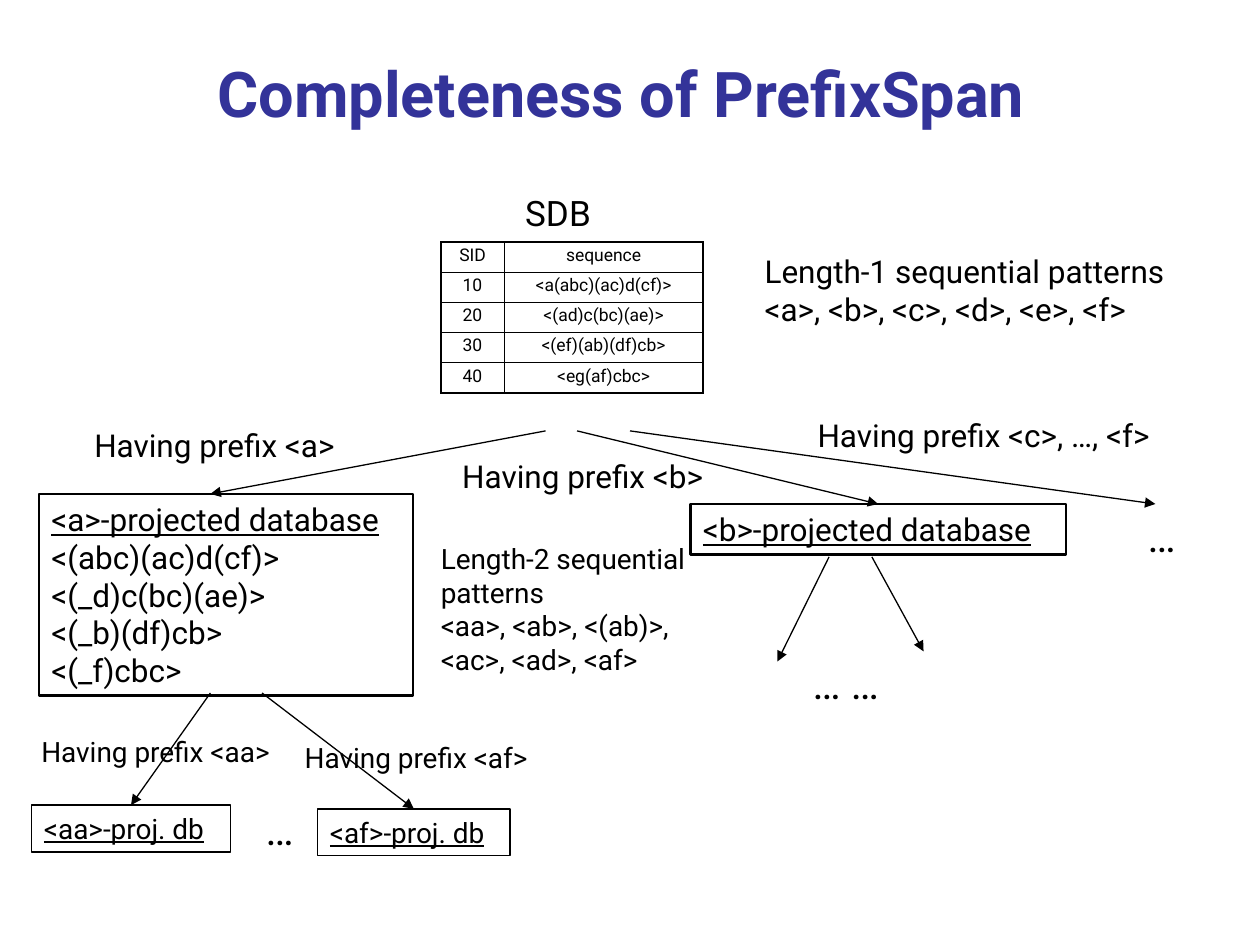
import pptx
import pptx.util
import pptx.dml.color
import pptx.enum.shapes
import pptx.enum.text
import pptx.oxml.ns
from lxml import etree

Inches = pptx.util.Inches
Pt = pptx.util.Pt
ALIGN = pptx.enum.text.PP_ALIGN
FONT = "Roboto"
COLORS = {"ink": "000000", "title": "333399"}

ROWS = [
    ("SID", "sequence"),
    ("10", "<a(abc)(ac)d(cf)>"),
    ("20", "<(ad)c(bc)(ae)>"),
    ("30", "<(ef)(ab)(df)cb>"),
    ("40", "<eg(af)cbc>"),
]

LABELS = [
    (4.07, 1.47, 0.75, 0.44, 20, ["SDB"]),
    (5.97, 1.95, 3.59, 0.7, 18,
     ["Length-1 sequential patterns", "<a>, <b>, <c>, <d>, <e>, <f>"]),
    (3.4, 4.25, 2.27, 1.17, 16,
     ["Length-2 sequential", "patterns", "<aa>, <ab>, <(ab)>,", "<ac>, <ad>, <af>"]),
    (0.65, 3.33, 2.26, 0.4, 18, ["Having prefix <a>"]),
    (3.57, 3.58, 2.27, 0.4, 18, ["Having prefix <b>"]),
    (6.39, 3.25, 3.07, 0.4, 18, ["Having prefix <c>, …, <f>"]),
    (0.23, 5.78, 2.15, 0.37, 16, ["Having prefix <aa>"]),
    (2.32, 5.83, 2.1, 0.37, 16, ["Having prefix <af>"]),
    (2.01, 6.33, 0.46, 0.5, 24, ["…"]),
    (9.01, 4, 0.46, 0.5, 24, ["…"]),
    (6.35, 5.17, 0.81, 0.5, 24, ["… …"]),
]

BOXES = {
    "a": (0.31, 3.92, 2.97, 1.6, 18, 1.5,
          ["<a>-projected database", "<(abc)(ac)d(cf)>", "<(_d)c(bc)(ae)>",
           "<(_b)(df)cb>", "<(_f)cbc>"]),
    "b": (5.48, 4, 2.98, 0.4, 18, 1.5, ["<b>-projected database"]),
    "aa": (0.25, 6.39, 1.58, 0.37, 16, 1, ["<aa>-proj. db"]),
    "af": (2.52, 6.42, 1.53, 0.37, 16, 1, ["<af>-proj. db"]),
}

ARROWS = [
    (4.33, 3.42, 1.67, 3.92, None),
    (4.58, 3.42, 7, 4, "b"),
    (5, 3.42, 9.17, 4, None),
    (1.67, 5.5, 1, 6.42, "aa"),
    (2.08, 5.5, 3.33, 6.42, "af"),
    (6.58, 4.42, 6.17, 5.25, None),
    (6.92, 4.42, 7.33, 5.17, None),
]


def color(name):
    return pptx.dml.color.RGBColor.from_string(COLORS[name])


def style(para, size, hue="ink", align=ALIGN.LEFT):
    para.alignment = align
    para.font.name = FONT
    para.font.size = Pt(size)
    para.font.color.rgb = color(hue)


def write(frame, lines, size):
    frame.word_wrap = True
    frame.text = "\n".join(lines)
    for para in frame.paragraphs:
        style(para, size)


def add_title(slide, text):
    box = slide.shapes.add_textbox(Inches(0.42), Inches(0.25), Inches(9.02), Inches(0.83))
    frame = box.text_frame
    frame.word_wrap = True
    frame.vertical_anchor = pptx.enum.text.MSO_ANCHOR.BOTTOM
    frame.text = text
    para = frame.paragraphs[0]
    style(para, 36, "title", ALIGN.CENTER)
    para.font.bold = True


def add_label(slide, left, top, width, height, size, lines):
    box = slide.shapes.add_textbox(Inches(left), Inches(top), Inches(width), Inches(height))
    write(box.text_frame, lines, size)


def add_box(slide, left, top, width, height, size, weight, lines):
    box = slide.shapes.add_shape(
        pptx.enum.shapes.MSO_SHAPE.RECTANGLE,
        Inches(left), Inches(top), Inches(width), Inches(height))
    box.shadow.inherit = False
    box.fill.background()
    box.line.color.rgb = color("ink")
    box.line.width = Pt(weight)
    frame = box.text_frame
    frame.vertical_anchor = pptx.enum.text.MSO_ANCHOR.TOP
    write(frame, lines, size)
    frame.paragraphs[0].font.underline = True
    return box


def add_arrow(slide, left, top, right, bottom, goal):
    line = slide.shapes.add_connector(
        pptx.enum.shapes.MSO_CONNECTOR.STRAIGHT,
        Inches(left), Inches(top), Inches(right), Inches(bottom))
    if goal is not None:
        line.end_connect(goal, 0)
    line.line.color.rgb = color("ink")
    line.line.width = Pt(0.75)
    qn = pptx.oxml.ns.qn
    props = line._element.spPr
    etree.SubElement(props.find(qn("a:ln")), qn("a:tailEnd"), type="triangle")
    etree.SubElement(props, qn("a:effectLst"))


def edge(cell, side, weight):
    qn = pptx.oxml.ns.qn
    line = etree.Element(qn("a:ln" + side), w=str(Pt(weight)))
    fill = etree.SubElement(line, qn("a:solidFill"))
    etree.SubElement(fill, qn("a:srgbClr"), val=COLORS["ink"])
    return line


def add_grid(slide):
    widths = [0.5, 1.58]
    count = len(ROWS)
    frame = slide.shapes.add_table(
        count, 2, Inches(3.5), Inches(1.92), Inches(sum(widths)), Inches(0.24 * count))
    table = frame.table
    table.first_row = table.horz_banding = False
    for col, width in zip(table.columns, widths):
        col.width = Inches(width)
    for r, row in enumerate(ROWS):
        table.rows[r].height = Inches(0.24)
        for c, text in enumerate(row):
            cell = table.cell(r, c)
            cell.text = text
            para = cell.text_frame.paragraphs[0]
            style(para, 10, align=ALIGN.CENTER)
            para.line_spacing = 0.8
            cell.fill.background()
            outer = {"L": c == 0, "R": c == 1, "T": r == 0, "B": r == count - 1}
            props = cell._tc.get_or_add_tcPr()
            for i, (side, thick) in enumerate(outer.items()):
                props.insert(i, edge(cell, side, 1.08 if thick else 0.45))


def main():
    deck = pptx.Presentation()
    deck.slide_width, deck.slide_height = Inches(10), Inches(7.5)
    slide = deck.slides.add_slide(deck.slide_layouts[6])
    add_title(slide, "Completeness of PrefixSpan")
    add_grid(slide)
    boxes = {name: add_box(slide, *data) for name, data in BOXES.items()}
    for *ends, goal in ARROWS:
        add_arrow(slide, *ends, boxes.get(goal))
    for label in LABELS:
        add_label(slide, *label)
    deck.save("out.pptx")


if __name__ == "__main__":
    main()
